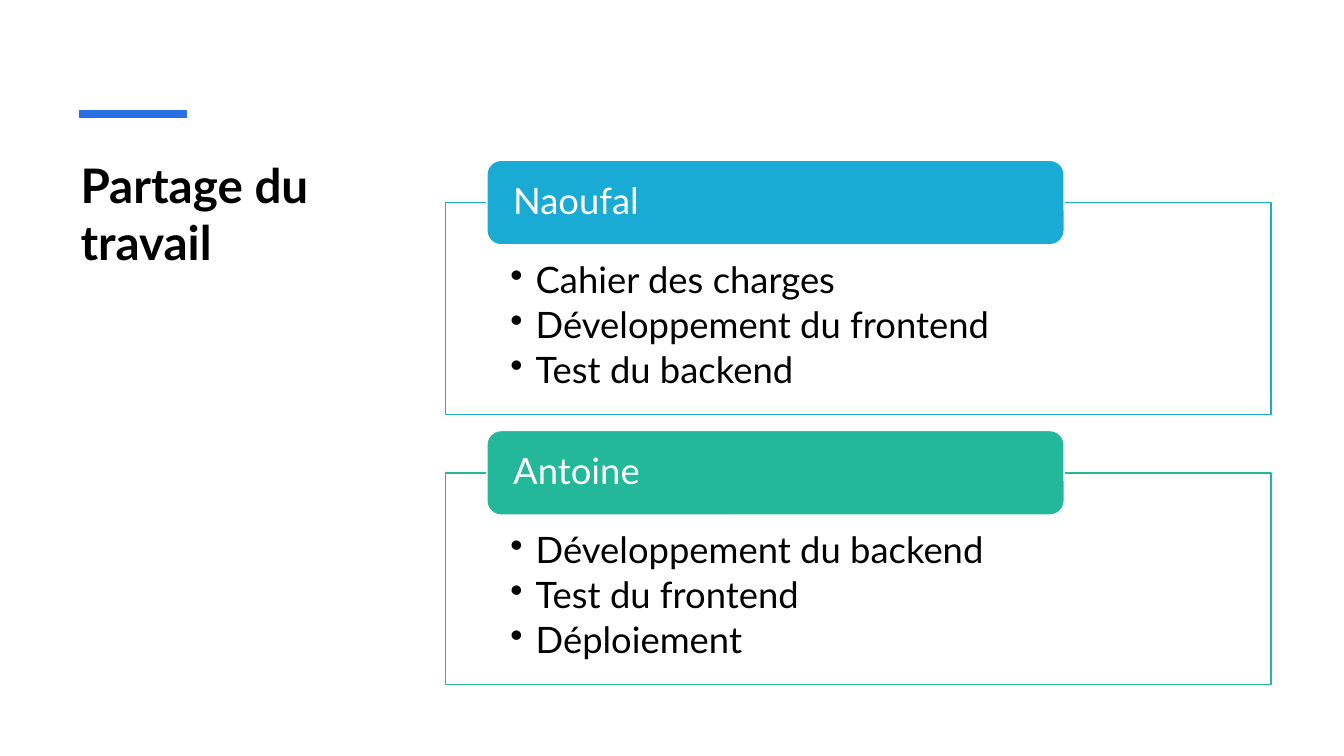
from lxml.etree import SubElement
from pptx import Presentation
from pptx.dml.color import RGBColor
from pptx.enum.shapes import MSO_CONNECTOR as Connector, MSO_SHAPE as Preset
from pptx.enum.text import MSO_ANCHOR as Anchor, PP_ALIGN as Align
from pptx.oxml.ns import qn
from pptx.util import Cm, Pt


def color(value):
    return RGBColor.from_string(value)


def apply(target, values):
    for name, value in values.items():
        setattr(target, name, value)


class Deck:
    font = "Lato"
    black, white, accent = "000000", "FFFFFF", "2B6FE5"
    heading_format = {"line_spacing": 0.9, "alignment": Align.LEFT}
    task_format = {**heading_format, "space_after": Pt(4)}

    def __init__(self, width, height):
        self.file = Presentation()
        apply(self.file, {"slide_width": Cm(width), "slide_height": Cm(height)})
        self.slide = self.file.slides.add_slide(self.file.slide_layouts[6])

    def add_lines(self, frame, lines, size, ink, paragraph_format, bold=False, bullet=False):
        for index, line in enumerate(lines):
            paragraph = frame.add_paragraph() if index else frame.paragraphs[0]
            apply(paragraph, paragraph_format)
            run = paragraph.add_run()
            run.text = line
            apply(run.font, {"name": self.font, "size": Pt(size), "bold": bold})
            run.font.color.rgb = color(ink)
            if bullet:
                self.add_bullet(paragraph)

    def add_bullet(self, paragraph):
        properties = paragraph._p.get_or_add_pPr()
        properties.set("marL", str(Cm(0.64)))
        properties.set("indent", str(Cm(-0.64)))
        SubElement(properties, qn("a:buChar"), char="•")

    def add_title(self, text, left, top, width, height):
        box = self.slide.shapes.add_textbox(Cm(left), Cm(top), Cm(width), Cm(height))
        box.text_frame.word_wrap = True
        self.add_lines(box.text_frame, [text], 34, self.black, {}, bold=True)

    def add_rule(self, left, right, y):
        rule = self.slide.shapes.add_connector(
            Connector.STRAIGHT, Cm(left), Cm(y), Cm(right), Cm(y))
        rule.line.color.rgb = color(self.accent)
        rule.line.width = Pt(6)
        SubElement(rule._element.spPr, qn("a:effectLst"))

    def add_panel(self, preset, left, top, width, height, fill, outline, frame_format):
        panel = self.slide.shapes.add_shape(
            preset, Cm(left), Cm(top), Cm(width), Cm(height))
        panel.shadow.inherit = False
        panel.fill.solid()
        panel.fill.fore_color.rgb = color(fill)
        panel.line.color.rgb = color(outline)
        panel.line.width = Pt(1)
        apply(panel.text_frame, {"word_wrap": True, **frame_format})
        return panel

    def add_member(self, name, tasks, tint, top):
        box = self.add_panel(
            Preset.RECTANGLE, 11.23, top + 1.07, 20.8, 5.33, self.white, tint,
            {"vertical_anchor": Anchor.TOP, "margin_left": Cm(1.63),
             "margin_right": Cm(1.63), "margin_top": Cm(1.5), "margin_bottom": Cm(0.51)})
        fill_color = box._element.spPr.find(f"{qn('a:solidFill')}/{qn('a:srgbClr')}")
        SubElement(fill_color, qn("a:alpha"), val="90000")
        self.add_lines(box.text_frame, tasks, 26, self.black, self.task_format, bullet=True)

        heading = self.add_panel(
            Preset.ROUNDED_RECTANGLE, 12.27, top, 14.55, 2.13, tint, self.white,
            {"vertical_anchor": Anchor.MIDDLE, "margin_left": Cm(0.56),
             "margin_right": Cm(0.56), "margin_top": 0, "margin_bottom": 0})
        self.add_lines(heading.text_frame, [name], 26, self.white, self.heading_format)


def main():
    deck = Deck(33.87, 19.05)
    deck.add_title("Partage du travail", 1.78, 3.81, 7.37, 11.53)
    deck.add_rule(1.98, 4.7, 2.87)
    team = [
        ("Naoufal", "19ABD3",
         ["Cahier des charges", "Développement du frontend", "Test du backend"]),
        ("Antoine", "23B89A",
         ["Développement du backend", "Test du frontend", "Déploiement"]),
    ]
    for row, (name, tint, tasks) in enumerate(team):
        deck.add_member(name, tasks, tint, 4.04 + row * 6.81)
    deck.file.save("out.pptx")


if __name__ == "__main__":
    main()
